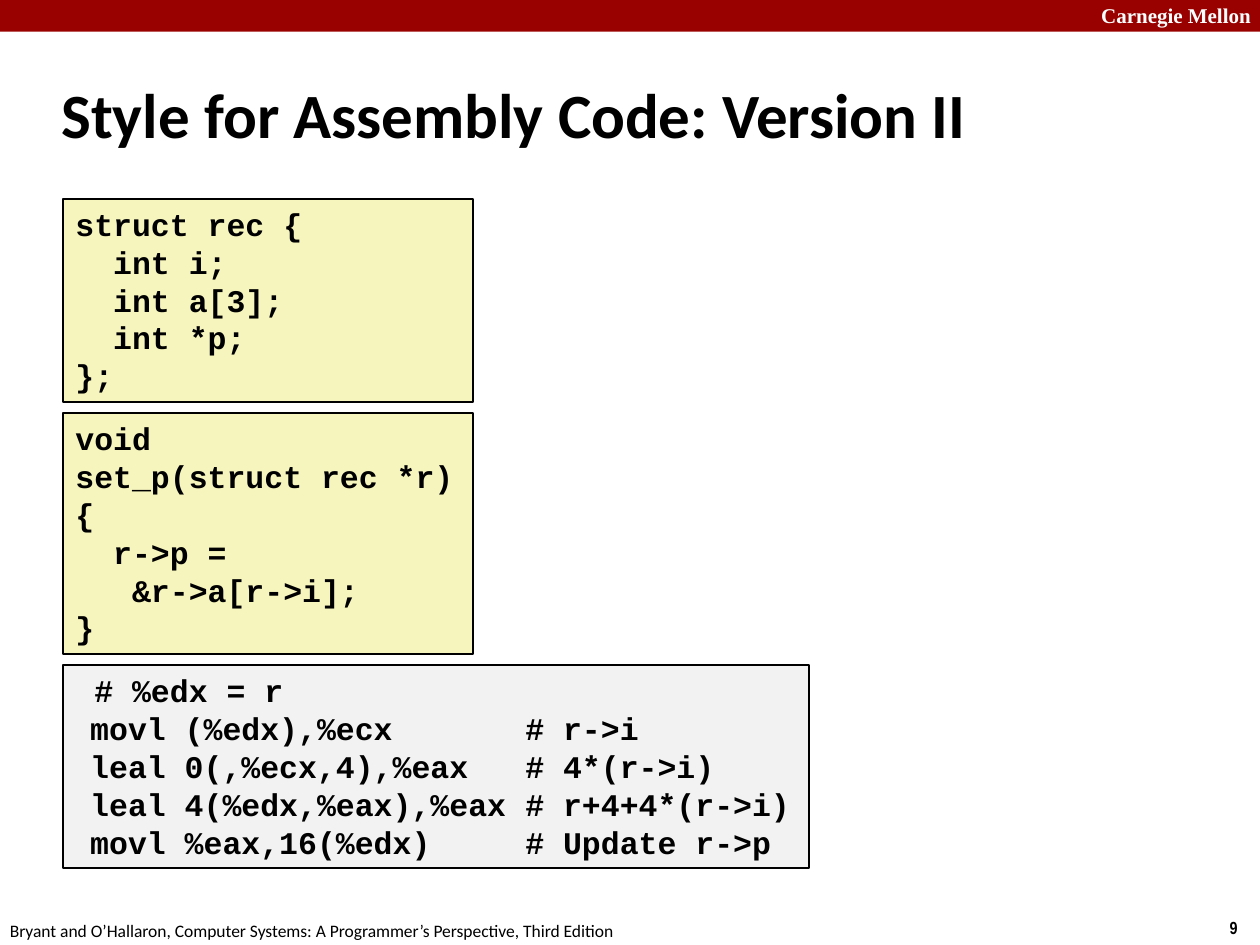
"""Build the slide on styling assembly code."""
import dataclasses

import lxml.etree
import pptx
import pptx.dml.color
import pptx.enum.shapes
import pptx.enum.text
import pptx.oxml.ns
import pptx.util

Cm = pptx.util.Cm
ANCHOR = pptx.enum.text.MSO_ANCHOR


@dataclasses.dataclass(frozen=True)
class Theme:
    """Colours and text formats."""
    bar: str = "990000"
    c_code: str = "F6F5BD"
    asm: str = "F2F2F2"
    ink: str = "000000"
    paper: str = "FFFFFF"
    formats: dict = dataclasses.field(default_factory=lambda: {
        "title": {"name": "Calibri", "size": 36, "bold": True},
        "code": {"name": "Courier New", "size": 18, "bold": True},
        "school": {"name": "Times New Roman", "size": 12, "bold": True},
        "footer": {"name": "Calibri", "size": 10, "bold": False},
        "number": {"name": "Arial Narrow", "size": 10, "bold": True},
    })


class Deck:
    """Holds the theme and the current slide."""

    def __init__(self, prs, theme):
        """Add a blank slide to draw on."""
        self.theme = theme
        self.s = prs.slides.add_slide(prs.slide_layouts[6])

    def fill_text(self, tf, lines, style, color, tabs=()):
        """Fill a text frame with one paragraph per line."""
        for i, line in enumerate(lines):
            p = tf.paragraphs[0] if i == 0 else tf.add_paragraph()
            p.alignment = pptx.enum.text.PP_ALIGN.LEFT
            if tabs:
                tab_list = lxml.etree.SubElement(
                    p._p.get_or_add_pPr(), pptx.oxml.ns.qn("a:tabLst"))
                for pos in tabs:
                    lxml.etree.SubElement(tab_list, pptx.oxml.ns.qn("a:tab"),
                                          pos=str(int(Cm(pos))), algn="l")
            r = p.add_run()
            r.text = line
            for key, value in self.theme.formats[style].items():
                setattr(r.font, key, pptx.util.Pt(value) if key == "size" else value)
            r.font.color.rgb = pptx.dml.color.RGBColor.from_string(color)

    def text(self, box, text, style, color=None, wrap=True, anchor=ANCHOR.TOP):
        """Add a single-line text box."""
        tf = self.s.shapes.add_textbox(*map(Cm, box)).text_frame
        tf.word_wrap = wrap
        tf.vertical_anchor = anchor
        self.fill_text(tf, [text], style, color or self.theme.ink)

    def rect(self, box, fill):
        """Add a plain filled rectangle."""
        sp = self.s.shapes.add_shape(
            pptx.enum.shapes.MSO_SHAPE.RECTANGLE, *map(Cm, box))
        sp.shadow.inherit = False
        sp.fill.solid()
        sp.fill.fore_color.rgb = pptx.dml.color.RGBColor.from_string(fill)
        sp.line.fill.background()
        return sp

    def code(self, box, fill, source, tabs=()):
        """Add an outlined code listing."""
        sp = self.rect(box, fill)
        sp.line.color.rgb = pptx.dml.color.RGBColor.from_string(self.theme.ink)
        sp.line.width = pptx.util.Pt(1)
        tf = sp.text_frame
        tf.word_wrap = True
        tf.auto_size = pptx.enum.text.MSO_AUTO_SIZE.SHAPE_TO_FIT_TEXT
        tf.vertical_anchor = ANCHOR.TOP
        self.fill_text(tf, source.split("\n"), "code", self.theme.ink, tabs)


STRUCT = """struct rec {
  int i;
  int a[3];
  int *p;
};"""

FUNCTION = """void
set_p(struct rec *r)
{
  r->p =
   &r->a[r->i];
}"""

ASSEMBLY = """ # %edx = r
\tmovl (%edx),%ecx\t# r->i
\tleal 0(,%ecx,4),%eax\t# 4*(r->i)
\tleal 4(%edx,%eax),%eax\t# r+4+4*(r->i)
\tmovl %eax,16(%edx)\t# Update r->p"""


def main():
    """Draw the slide and save it."""
    prs = pptx.Presentation()
    prs.slide_width, prs.slide_height = Cm(25.4), Cm(19.05)
    theme = Theme()
    deck = Deck(prs, theme)

    deck.rect((0, 0, 25.4, 0.64), theme.bar)
    deck.text((21.95, -0.08, 3.63, 0.76), "Carnegie Mellon", "school", theme.paper)
    deck.text((24.54, 18.36, 0.86, 0.69), "9", "number", wrap=False)
    deck.text((-0.05, 18.42, 12.9, 0.69),
              "Bryant and O’Hallaron, Computer Systems: "
              "A Programmer’s Perspective, Third Edition", "footer", wrap=False)
    deck.text((0.99, 1.24, 21.08, 2.11), "Style for Assembly Code: Version II",
              "title", anchor=ANCHOR.MIDDLE)

    top, gap = 4.01, 0.23
    for source, width, height, fill, tabs in (
            (STRUCT, 8.26, 4.09, theme.c_code, ()),
            (FUNCTION, 8.26, 4.85, theme.c_code, ()),
            (ASSEMBLY, 15.04, 4.09, theme.asm, (0.3, 9.07))):
        deck.code((1.27, top, width, height), fill, source, tabs)
        top += height + gap

    prs.save("out.pptx")


if __name__ == "__main__":
    main()
